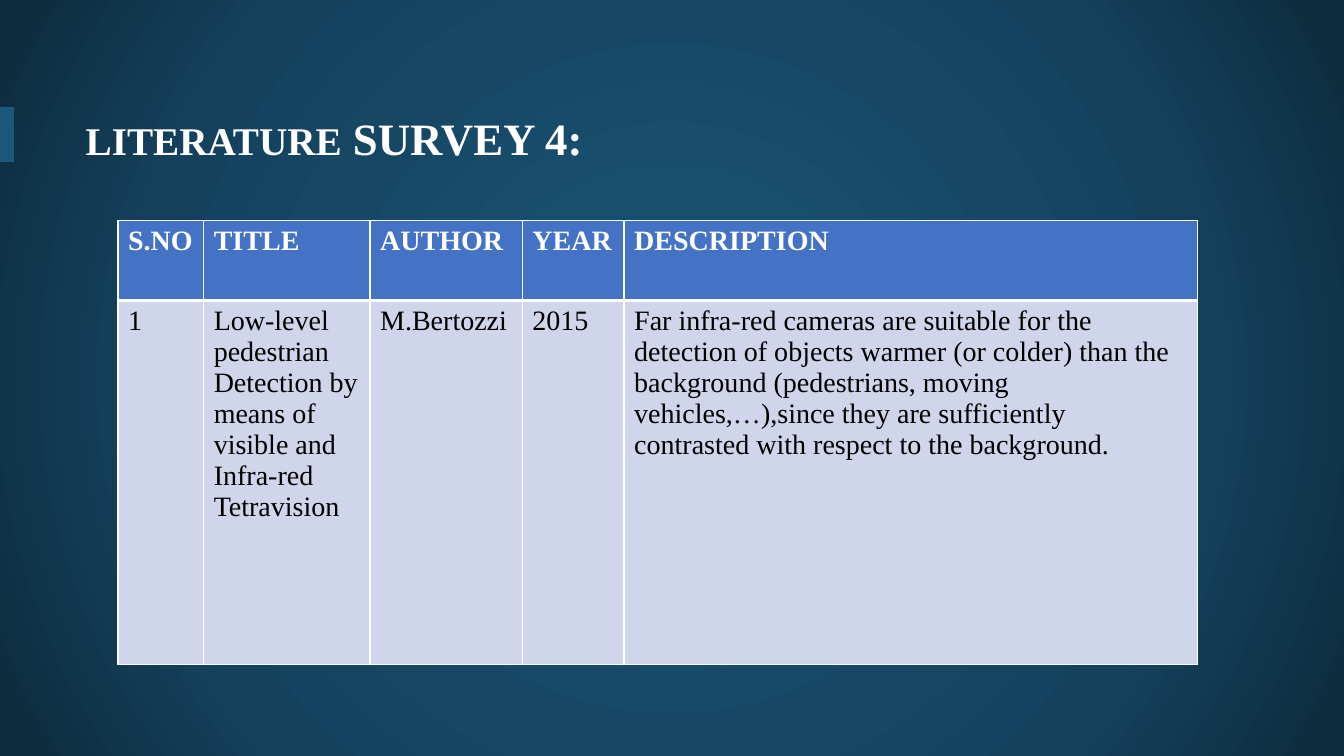
from dataclasses import dataclass

from lxml import etree
from pptx import Presentation
from pptx import util as u
from pptx.dml.color import RGBColor
from pptx.enum import shapes, text
from pptx.oxml import parse_xml
from pptx.oxml.ns import nsdecls, qn


@dataclass(frozen=True)
class Theme:
    font: str = "Times New Roman"
    white: str = "FFFFFF"
    black: str = "000000"
    accent: str = "1B587C"
    header: str = "4472C4"
    body: str = "CFD5EA"
    glow: tuple = ((0, "184E6E"), (23, "184E6E"), (69, "14425D"), (97, "0E2C3E"))
    title_size: int = 28
    title_large: int = 32
    table_size: int = 20
    thin: int = 1
    thick: int = 3
    accent_width: int = 10


THEME = Theme()
WIDTH, HEIGHT = u.Inches(13.33), u.Inches(7.5)

COLUMNS = (0.85, 1.65, 1.51, 1.01, 5.69)
ROWS = (0.79, 3.61)
SURVEY = (
    ("S.NO", "TITLE", "AUTHOR", "YEAR", "DESCRIPTION"),
    (
        "1",
        "Low-level pedestrian Detection by means of visible and Infra-red Tetravision",
        "M.Bertozzi",
        "2015",
        "Far infra-red cameras are suitable for the detection of objects warmer "
        "(or colder) than the background (pedestrians, moving vehicles,…),since they "
        "are sufficiently contrasted with respect to the background.",
    ),
)


def rgb(color):
    return RGBColor.from_string(color)


def add_run(p, words, size, color, bold):
    r = p.add_run()
    r.text = words
    r.font.name = THEME.font
    r.font.size = u.Pt(size)
    r.font.bold = bold
    r.font.color.rgb = rgb(color)


def set_background(slide):
    """Fill the slide with a radial gradient centred on the slide."""
    stops = "".join(
        f'<a:gs pos="{pos * 1000}"><a:srgbClr val="{color}"/></a:gs>'
        for pos, color in THEME.glow
    )
    bg = parse_xml(
        f'<p:bg {nsdecls("p", "a")}><p:bgPr><a:gradFill rotWithShape="1">'
        f'<a:gsLst>{stops}</a:gsLst><a:path path="circle">'
        '<a:fillToRect l="50000" t="50000" r="50000" b="50000"/></a:path>'
        "</a:gradFill><a:effectLst/></p:bgPr></p:bg>"
    )
    slide.element.cSld.insert(0, bg)


def add_accent(slide):
    x = u.Inches(0.07)
    line = slide.shapes.add_connector(
        shapes.MSO_CONNECTOR.STRAIGHT, x, u.Inches(1.61), x, u.Inches(1.06)
    )
    line.line.color.rgb = rgb(THEME.accent)
    line.line.width = u.Pt(THEME.accent_width)
    etree.SubElement(line.element.spPr, qn("a:effectLst"))


def set_title(slide):
    sp = slide.shapes.title
    sp.left, sp.top = u.Inches(0.75), u.Inches(0.67)
    sp.width, sp.height = u.Inches(11.86), u.Inches(1.38)
    tf = sp.text_frame
    tf.auto_size = text.MSO_AUTO_SIZE.NONE
    tf.vertical_anchor = text.MSO_ANCHOR.MIDDLE
    p = tf.paragraphs[0]
    p.alignment = text.PP_ALIGN.LEFT
    add_run(p, "LITERATURE", THEME.title_size, THEME.white, True)
    add_run(p, " SURVEY 4:", THEME.title_large, THEME.white, True)


def set_borders(cell, top, bottom):
    """Draw white borders, with the top and bottom widths in points."""
    widths = {"L": THEME.thin, "R": THEME.thin, "T": top, "B": bottom}
    tc_pr = cell._tc.get_or_add_tcPr()
    for i, (side, width) in enumerate(widths.items()):
        tc_pr.insert(i, parse_xml(
            f'<a:ln{side} {nsdecls("a")} w="{u.Pt(width)}"><a:solidFill>'
            f'<a:srgbClr val="{THEME.white}"/></a:solidFill></a:ln{side}>'
        ))


def fill_cell(cell, words, is_header):
    cell.fill.solid()
    cell.fill.fore_color.rgb = rgb(THEME.header if is_header else THEME.body)
    color = THEME.white if is_header else THEME.black
    add_run(cell.text_frame.paragraphs[0], words, THEME.table_size, color, is_header)
    if is_header:
        set_borders(cell, THEME.thin, THEME.thick)
    else:
        set_borders(cell, THEME.thick, THEME.thin)


def add_survey_table(slide):
    table = slide.shapes.add_table(
        len(ROWS), len(COLUMNS), u.Inches(1.17), u.Inches(2.19),
        u.Inches(sum(COLUMNS)), u.Inches(sum(ROWS)),
    ).table
    for column, width in zip(table.columns, COLUMNS):
        column.width = u.Inches(width)
    for i, (row, height) in enumerate(zip(table.rows, ROWS)):
        row.height = u.Inches(height)
        for cell, words in zip(row.cells, SURVEY[i]):
            fill_cell(cell, words, i == 0)


def main():
    prs = Presentation()
    prs.slide_width, prs.slide_height = WIDTH, HEIGHT
    slide = prs.slides.add_slide(prs.slide_layouts.get_by_name("Title Only"))
    set_background(slide)
    add_accent(slide)
    set_title(slide)
    add_survey_table(slide)
    prs.save("out.pptx")


if __name__ == "__main__":
    main()
